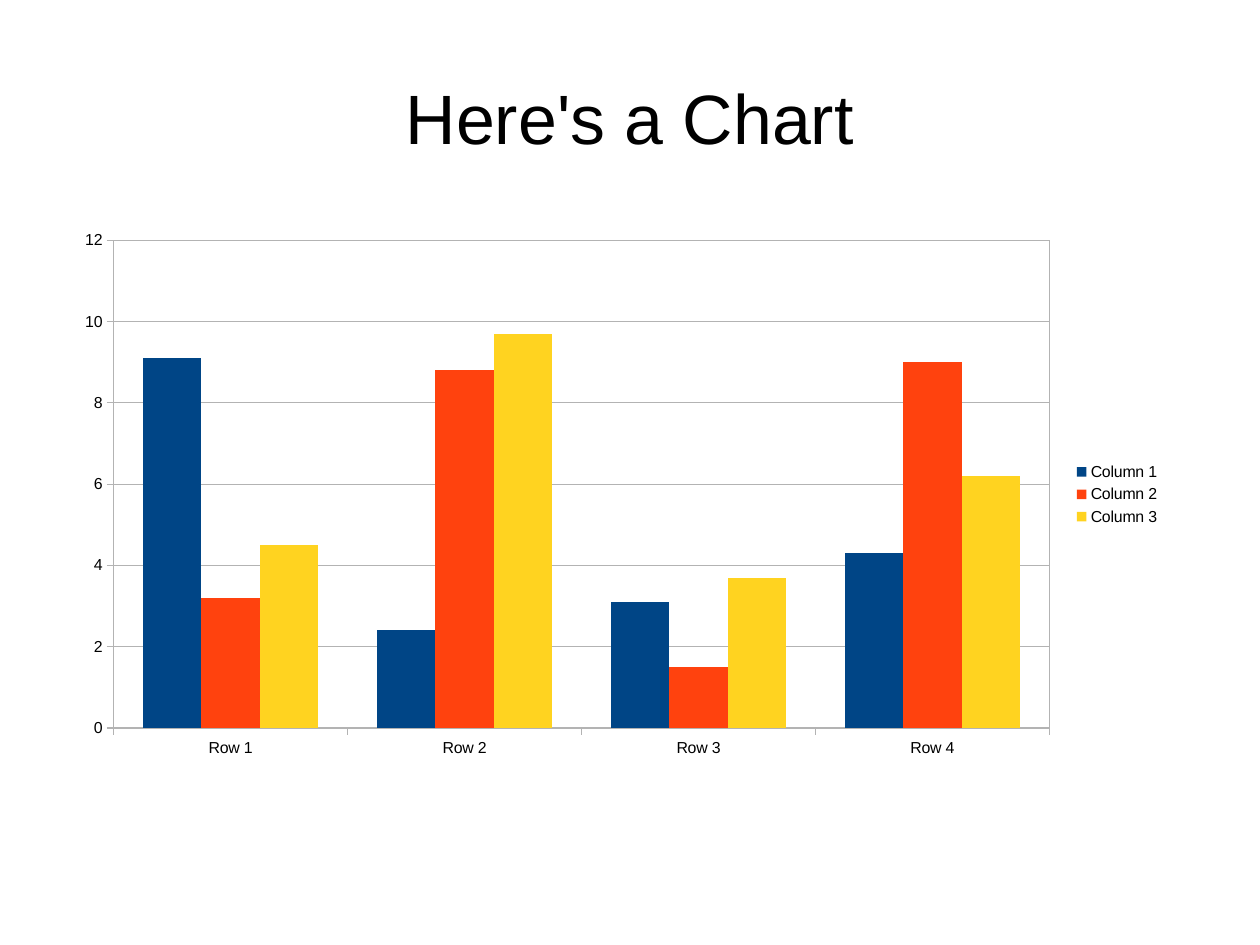
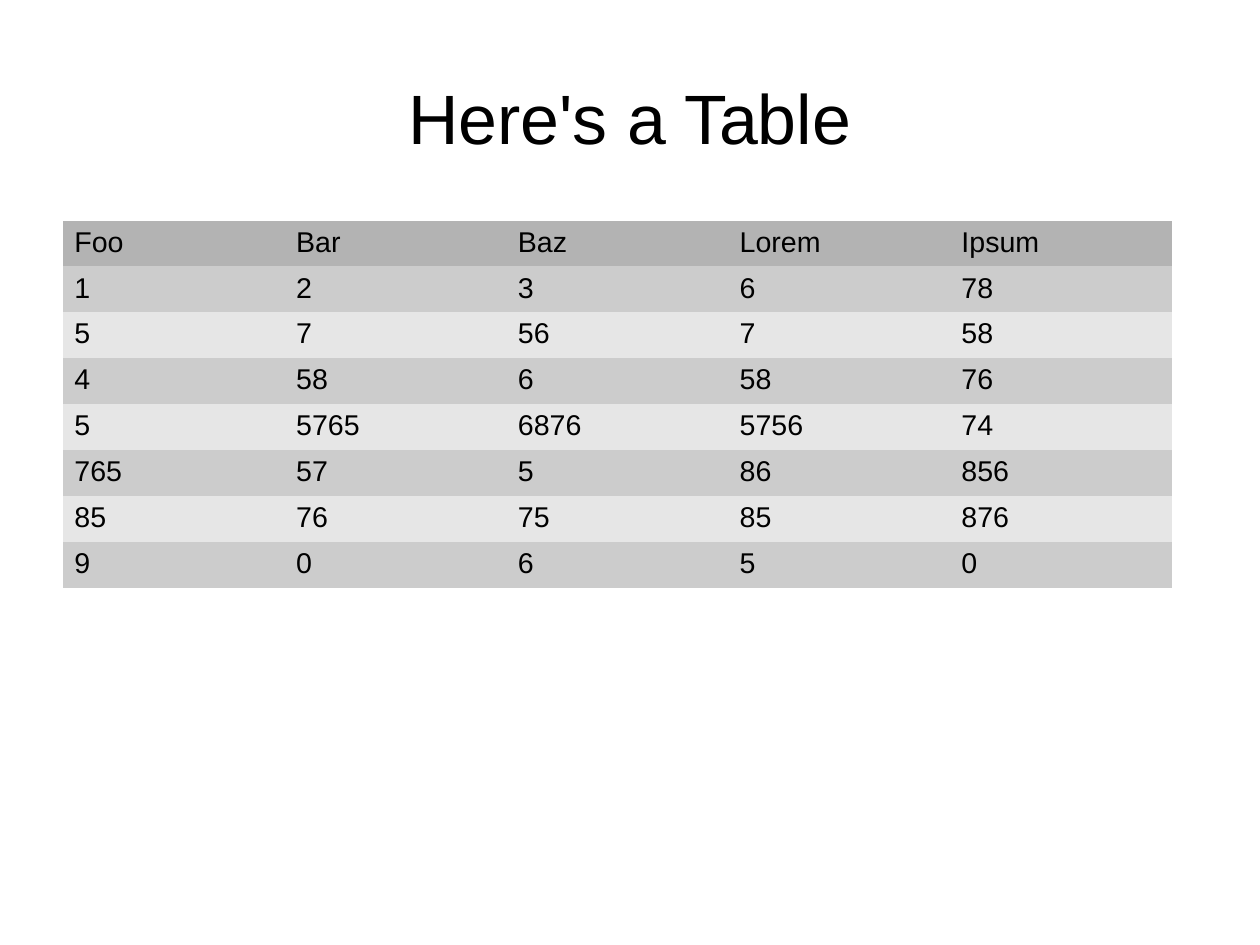
from lxml import etree
from pptx import Presentation
from pptx.chart.data import CategoryChartData
from pptx.dml.color import RGBColor
from pptx.enum.chart import XL_CHART_TYPE as ChartType
from pptx.enum.chart import XL_LEGEND_POSITION as LegendPosition
from pptx.enum.chart import XL_TICK_MARK as TickMark
from pptx.enum.text import MSO_ANCHOR as Anchor
from pptx.enum.text import PP_ALIGN as Align
from pptx.oxml import parse_xml
from pptx.oxml.ns import nsdecls, qn
from pptx.util import Cm, Pt

# Shared style
FONT = "Arial"
BLACK = "000000"
GRAY = "B3B3B3"
BANDS = ("CCCCCC", "E6E6E6")
SERIES_COLORS = ("004586", "FF420E", "FFD320")
PLAIN_TABLE_STYLE = "{2D5ABB26-0587-4C30-8999-92F81FD0307C}"

# Shared layout
LEFT, BODY_TOP, BODY_WIDTH = Cm(1.4), Cm(4.9), Cm(24.64)

# Content
CATEGORIES = ("Row 1", "Row 2", "Row 3", "Row 4")
SERIES = {
    "Column 1": (9.1, 2.4, 3.1, 4.3),
    "Column 2": (3.2, 8.8, 1.5, 9),
    "Column 3": (4.5, 9.7, 3.7, 6.2),
}
TABLE_ROWS = (
    ("Foo", "Bar", "Baz", "Lorem", "Ipsum"),
    (1, 2, 3, 6, 78),
    (5, 7, 56, 7, 58),
    (4, 58, 6, 58, 76),
    (5, 5765, 6876, 5756, 74),
    (765, 57, 5, 86, 856),
    (85, 76, 75, 85, 876),
    (9, 0, 6, 5, 0),
)


def color(value):
    return RGBColor.from_string(value)


def style_font(font, size):
    font.name = FONT
    font.size = Pt(size)
    font.color.rgb = color(BLACK)


def fill_solid(fill, value):
    fill.solid()
    fill.fore_color.rgb = color(value)


def add_titled_slide(presentation, title):
    slide = presentation.slides.add_slide(presentation.slide_layouts[6])
    fill_solid(slide.background.fill, "FFFFFF")
    shape = slide.shapes.add_textbox(LEFT, Cm(0.84), Cm(25.2), Cm(3.5))
    frame = shape.text_frame
    frame.word_wrap = True
    frame.vertical_anchor = Anchor.MIDDLE
    frame.margin_left = frame.margin_right = 0
    frame.margin_top = frame.margin_bottom = 0
    paragraph = frame.paragraphs[0]
    paragraph.text = title
    paragraph.alignment = Align.CENTER
    style_font(paragraph.font, 44)
    return slide


def style_line(line):
    line.color.rgb = color(GRAY)
    line.width = 0


def frame_plot_area(chart):
    """Outline the plot area, which has no public formatting method."""
    plot_area = chart.element.find(".//" + qn("c:plotArea"))
    plot_area.append(parse_xml(
        f'<c:spPr {nsdecls("c", "a")}><a:noFill/><a:ln w="0"><a:solidFill>'
        f'<a:srgbClr val="{GRAY}"/></a:solidFill></a:ln></c:spPr>'))


def add_column_chart(slide):
    data = CategoryChartData()
    data.categories = CATEGORIES
    for name, values in SERIES.items():
        data.add_series(name, values)
    chart = slide.shapes.add_chart(
        ChartType.COLUMN_CLUSTERED, LEFT, BODY_TOP, BODY_WIDTH, Cm(12.17), data).chart
    chart.has_title = False
    style_font(chart.font, 10)

    # Columns
    plot = chart.plots[0]
    plot.gap_width = 100
    plot.overlap = 0
    plot.vary_by_categories = False
    for series, value in zip(plot.series, SERIES_COLORS):
        fill_solid(series.format.fill, value)

    # Axes and grid
    for axis in (chart.category_axis, chart.value_axis):
        axis.major_tick_mark = TickMark.OUTSIDE
        axis.minor_tick_mark = TickMark.NONE
        style_line(axis.format.line)
        style_font(axis.tick_labels.font, 10)
    value_axis = chart.value_axis
    value_axis.minimum_scale, value_axis.maximum_scale = 0, 12
    value_axis.major_unit = 2
    value_axis.has_major_gridlines = True
    style_line(value_axis.major_gridlines.format.line)
    frame_plot_area(chart)

    # Legend
    chart.has_legend = True
    chart.legend.position = LegendPosition.RIGHT
    chart.legend.include_in_layout = False
    style_font(chart.legend.font, 10)


def add_banded_table(slide):
    table = slide.shapes.add_table(
        len(TABLE_ROWS), len(TABLE_ROWS[0]), LEFT, BODY_TOP,
        BODY_WIDTH, Cm(1.02) * len(TABLE_ROWS)).table
    properties = table._tbl.tblPr
    style = properties.find(qn("a:tableStyleId"))
    if style is None:
        style = etree.SubElement(properties, qn("a:tableStyleId"))
    style.text = PLAIN_TABLE_STYLE
    table.horz_banding = False

    for row, values in enumerate(TABLE_ROWS):
        band = BANDS[(row - 1) % 2] if row else GRAY
        for column, value in enumerate(values):
            cell = table.cell(row, column)
            fill_solid(cell.fill, band)
            paragraph = cell.text_frame.paragraphs[0]
            paragraph.text = str(value)
            style_font(paragraph.font, 18)


def main():
    presentation = Presentation()
    presentation.slide_width = Cm(28)
    presentation.slide_height = Cm(21)
    add_column_chart(add_titled_slide(presentation, "Here's a Chart"))
    add_banded_table(add_titled_slide(presentation, "Here's a Table"))
    presentation.save("out.pptx")


if __name__ == "__main__":
    main()
